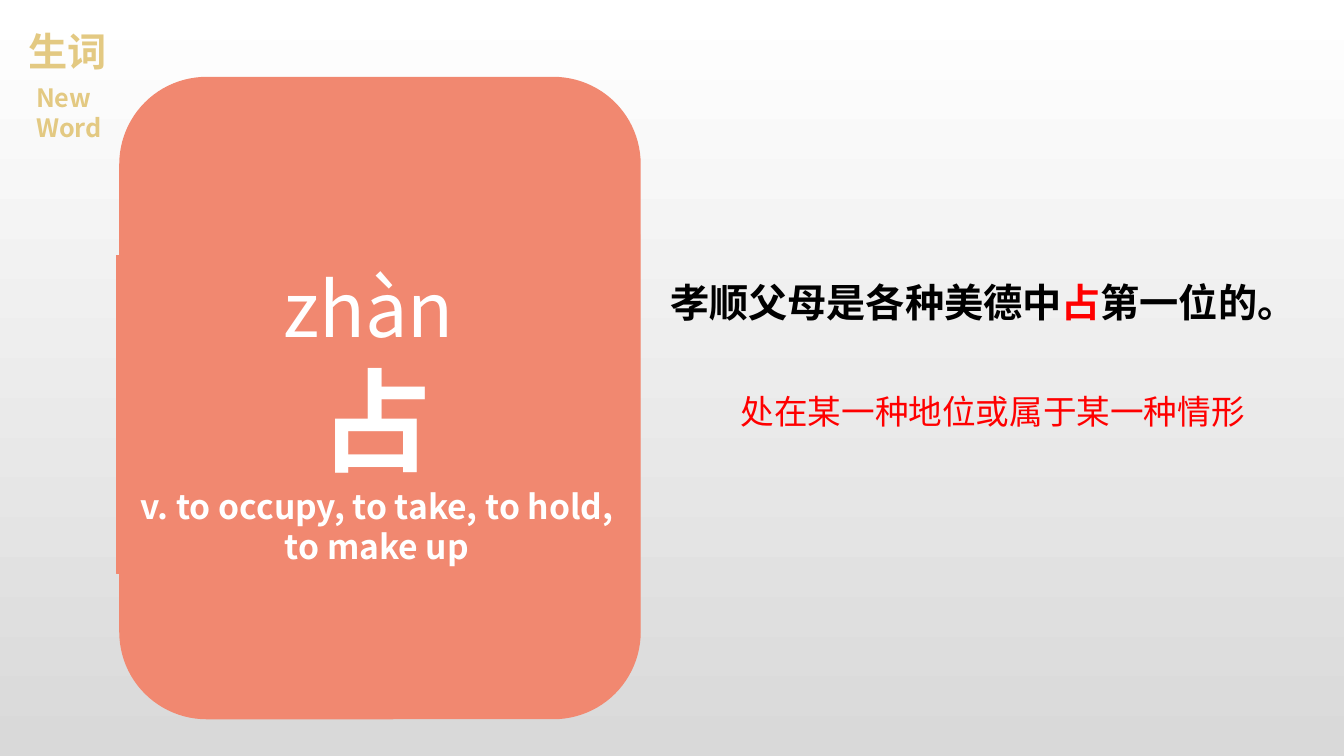
import pptx
import pptx.dml.color
import pptx.enum.shapes
import pptx.enum.text
import pptx.oxml.ns
import pptx.util
import lxml.etree

Pt = pptx.util.Pt
SHAPE = pptx.enum.shapes.MSO_SHAPE
ALIGN = pptx.enum.text.PP_ALIGN

COLOURS = {
    "card": "F18870",
    "light": "FFFFFF",
    "dark": "000000",
    "accent": "FF0000",
    "gold": "E3C982",
    "bronze": "B29054",
    "shade": "D9D9D9",
}
NOTO = "Noto Sans CJK SC"
LINE_HEIGHT = 1.19


def colour(name):
    return pptx.dml.color.RGBColor.from_string(COLOURS[name])


def set_gradient(fill, names, end, angle):
    fill.gradient()
    fill.gradient_angle = angle
    for stop, name, position in zip(fill.gradient_stops, names, (0, end)):
        stop.color.rgb = colour(name)
        stop.position = position


def add_span(para, text, size=24, font=NOTO, fill="light", bold=False):
    """Add one run; a pair of colour names gives a gradient."""
    span = para.add_run()
    span.text = text
    span.font.size = Pt(size)
    span.font.bold = bold
    if isinstance(fill, tuple):
        set_gradient(span.font.fill, fill, end=0.95, angle=0)
    else:
        span.font.color.rgb = colour(fill)
    span.font.name = font
    east_asian = lxml.etree.SubElement(
        span.font._element, pptx.oxml.ns.qn("a:ea"))
    east_asian.set("typeface", font)
    para.line_spacing = Pt(round(size * LINE_HEIGHT, 1))


def add_text(page, text, left, top, width, height, wrap=True, **style):
    """Add a text box and return its paragraph for further spans."""
    box = page.shapes.add_textbox(Pt(left), Pt(top), Pt(width), Pt(height))
    box.text_frame.word_wrap = wrap
    para = box.text_frame.paragraphs[0]
    add_span(para, text, **style)
    return para


def add_panel(group, kind, left, top, width, height, line_width):
    panel = group.shapes.add_shape(
        kind, Pt(left), Pt(top), Pt(width), Pt(height))
    panel.shadow.inherit = False
    panel.fill.solid()
    panel.fill.fore_color.rgb = colour("card")
    panel.line.color.rgb = colour("card")
    panel.line.width = Pt(line_width)
    return panel


def add_word_card(page, lines):
    card = page.shapes.add_group_shape()
    add_panel(card, SHAPE.ROUNDED_RECTANGLE, 85.7, 55.4, 371.5, 457.9, 1)
    label = add_panel(card, SHAPE.RECTANGLE, 83.5, 182.2, 371.5, 227.5, 0.75)
    frame = label.text_frame
    frame.word_wrap = True
    frame.vertical_anchor = pptx.enum.text.MSO_ANCHOR.MIDDLE
    for index, (text, size, bold) in enumerate(lines):
        para = frame.add_paragraph() if index else frame.paragraphs[0]
        para.alignment = ALIGN.CENTER
        add_span(para, text, size=size, bold=bold)


def main():
    deck = pptx.Presentation()
    deck.slide_width, deck.slide_height = Pt(960), Pt(540)
    page = deck.slides.add_slide(deck.slide_layouts[6])
    set_gradient(page.background.fill, ("light", "shade"), end=1, angle=270)

    # Word card
    add_word_card(page, [
        ("zhàn ", 54, False),
        ("占", 80, True),
        ("v. to occupy, to take, to hold, to make up", 24, True),
    ])

    # Section heading
    heading = {"fill": ("gold", "bronze"), "bold": True}
    add_text(page, "生词", 13, 16.6, 70.6, 41, wrap=False, size=28, **heading)
    add_text(page, "New Word", 18.7, 55.4, 70, 50, size=18, **heading)

    # Example sentence and meaning
    example = {"size": 28, "font": "Arial", "bold": True}
    sentence = add_text(page, "孝顺父母是各种美德中", 471.6, 195.8, 470, 41,
                        fill="dark", **example)
    add_span(sentence, "占", fill="accent", **example)
    add_span(sentence, "第一位的。", fill="dark", **example)
    add_text(page, "处在某一种地位或属于某一种情形", 522, 275.8, 381, 36,
             size=24, font="Arial", fill="accent")

    deck.save("out.pptx")


if __name__ == "__main__":
    main()
